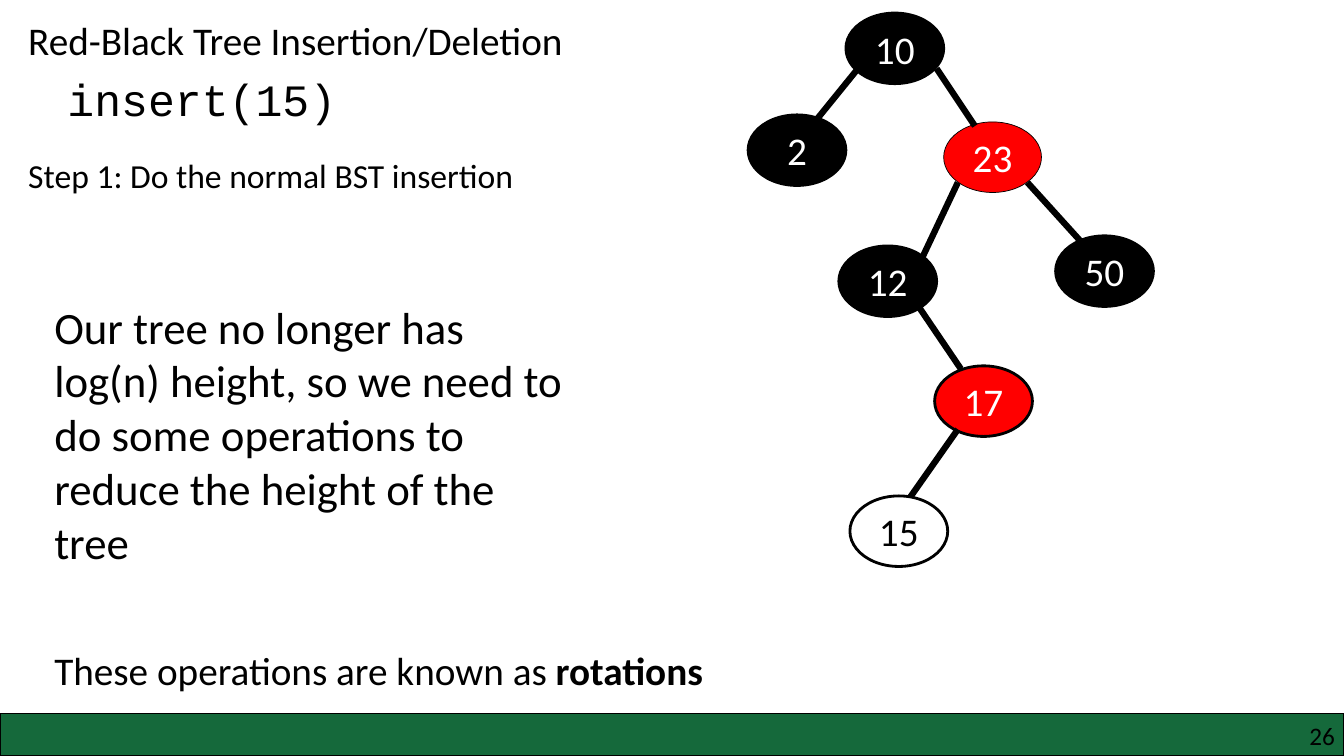
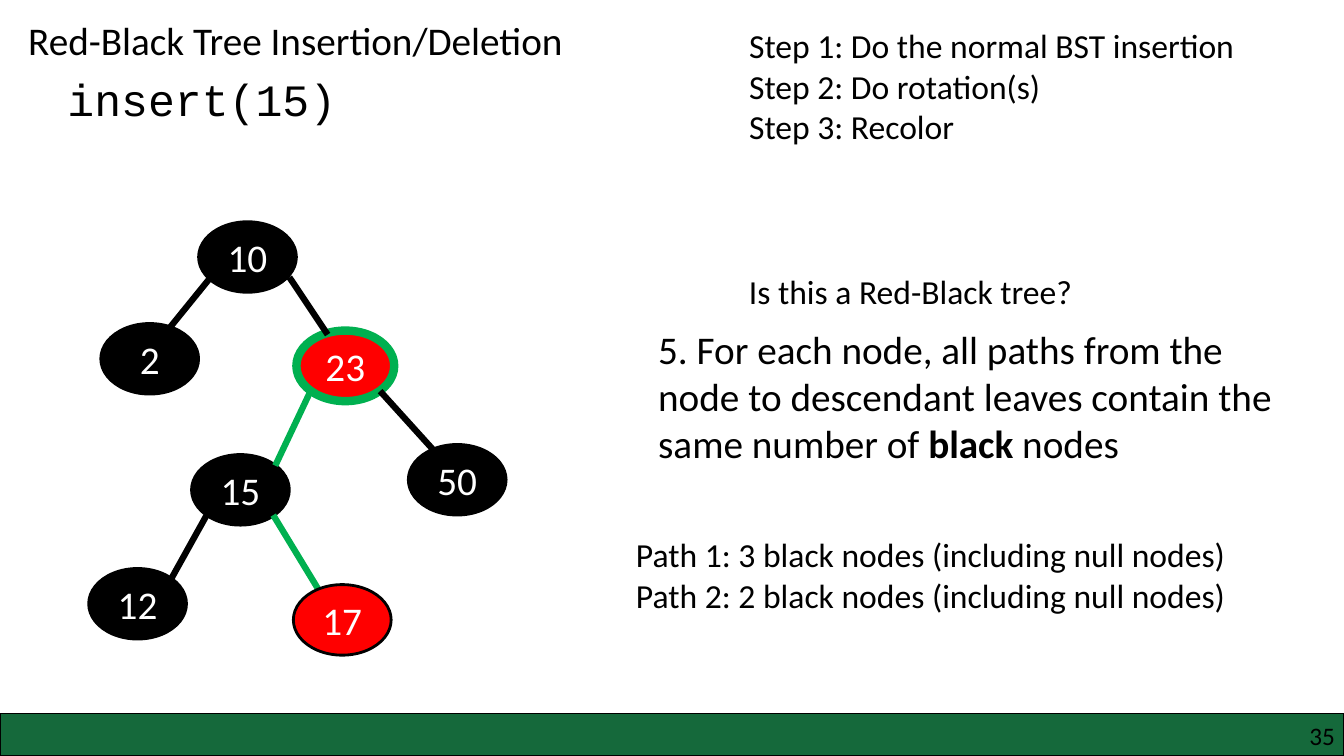
from lxml import etree
from pptx import Presentation
from pptx.dml.color import RGBColor
from pptx.enum.shapes import MSO_CONNECTOR, MSO_SHAPE
from pptx.enum.text import MSO_ANCHOR, MSO_AUTO_SIZE, PP_ALIGN
from pptx.oxml.ns import qn
from pptx.util import Inches, Pt

STRAIGHT = MSO_CONNECTOR.STRAIGHT
OVAL, RECTANGLE = MSO_SHAPE.OVAL, MSO_SHAPE.RECTANGLE
TOP, MIDDLE = MSO_ANCHOR.TOP, MSO_ANCHOR.MIDDLE
LEFT, CENTER, RIGHT = PP_ALIGN.LEFT, PP_ALIGN.CENTER, PP_ALIGN.RIGHT
GROW, FIXED = MSO_AUTO_SIZE.SHAPE_TO_FIT_TEXT, MSO_AUTO_SIZE.NONE

BLACK = RGBColor(0x00, 0x00, 0x00)
WHITE = RGBColor(0xFF, 0xFF, 0xFF)
RED = RGBColor(0xFF, 0x00, 0x00)
GREEN = RGBColor(0x00, 0xB0, 0x50)
BAND_GREEN = RGBColor(0x15, 0x69, 0x3B)

NODE_WIDTH, NODE_HEIGHT = 0.97, 0.7
TITLE = "Red-Black Tree Insertion/Deletion"
STEP_1 = "Step 1: Do the normal BST insertion"


def write_text(box, text, *, size, font="Calibri", color=BLACK, align=LEFT,
               anchor=TOP, wrap=False, grow=True):
    frame = box.text_frame
    frame.word_wrap = wrap
    frame.auto_size = GROW if grow else FIXED
    frame.vertical_anchor = anchor
    for index, line in enumerate(text.split("\n")):
        para = frame.add_paragraph() if index else frame.paragraphs[0]
        para.alignment = align
        para.space_before = Pt(0)
        for part, words in enumerate(line.split("**")):
            span = para.add_run()
            span.text = words
            span.font.name = font
            span.font.size = Pt(size)
            span.font.bold = part % 2 == 1
            span.font.color.rgb = color
    return frame


def add_node(page, label, left, top, fill, outline=BLACK, weight=2):
    node = page.shapes.add_shape(OVAL, Inches(left), Inches(top),
                                 Inches(NODE_WIDTH), Inches(NODE_HEIGHT))
    node.shadow.inherit = False
    node.fill.solid()
    node.fill.fore_color.rgb = fill
    node.line.color.rgb = outline
    node.line.width = Pt(weight)
    write_text(node, label, size=28, color=BLACK if fill == WHITE else WHITE,
               align=CENTER, anchor=MIDDLE, wrap=True, grow=False)


SHARED_NODES = [
    ("10", 8.39, 0.13, BLACK),
    ("2", 7.42, 1.14, BLACK),
    ("50", 10.47, 2.34, BLACK),
]
SHARED_EDGES = [
    (8.51, 0.68, 8.04, 1.26, BLACK),
    (9.29, 0.68, 9.67, 1.25, BLACK),
    (10.19, 1.81, 10.76, 2.44, BLACK),
]

PAGES = [
    {
        "number": "26",
        "offset": (0, 0),
        "steps": (STEP_1, 0.18, 1.49, 5.06, 0.5),
        "nodes": [
            ("23", 9.36, 1.21, RED, BLACK, 0.5),
            ("12", 8.32, 2.44, BLACK),
            ("17", 9.27, 3.63, RED),
        ],
        "edges": [
            (9.5, 1.81, 9.15, 2.55, BLACK),
            (9.11, 3.04, 9.53, 3.66, BLACK),
            (9.5, 4.26, 8.98, 5, BLACK),
        ],
        "front_nodes": [("15", 8.43, 4.92, WHITE)],
        "texts": [
            ("Our tree no longer has log(n) height, so we need to do some "
             "operations to reduce the height of the tree",
             0.44, 2.92, 5.3, 2.79, 32, True),
            ("These operations are known as **rotations**",
             0.44, 6.36, 6.71, 0.57, 28, False),
        ],
    },
    {
        "number": "35",
        "offset": (-6.42, 2.07),
        "steps": (STEP_1 + "\nStep 2: Do rotation(s)\nStep 3: Recolor",
                  7.33, 0.2, 5.06, 1.31),
        "nodes": [
            ("23", 9.36, 1.21, RED, GREEN, 6),
            ("15", 8.32, 2.44, BLACK),
            ("12", 7.3, 3.57, BLACK),
        ],
        "edges": [
            (9.5, 1.81, 9.15, 2.55, GREEN),
            (8.47, 3.04, 8.12, 3.67, BLACK),
            (9.13, 3.04, 9.61, 3.83, GREEN),
        ],
        "front_nodes": [("17", 9.33, 3.73, RED)],
        "texts": [
            ("Is this a Red-Black tree?", 7.33, 2.64, 3.44, 0.5, 24, False),
            ("5. For each node, all paths from the node to descendant leaves "
             "contain the same number of **black** nodes",
             6.43, 3.18, 6.67, 1.51, 28, True),
            ("Path 1: 3 black nodes (including null nodes)",
             6.21, 5.25, 6.67, 0.5, 24, True),
            ("Path 2: 2 black nodes (including null nodes)",
             6.21, 5.65, 6.67, 0.5, 24, True),
        ],
    },
]

deck = Presentation()
deck.slide_width, deck.slide_height = Inches(13.33), Inches(7.5)

for content in PAGES:
    page = deck.slides.add_slide(deck.slide_layouts[1])
    title, steps = page.placeholders

    band = page.shapes.add_shape(RECTANGLE, 0, Inches(7.08), Inches(13.33), Inches(0.42))
    band.shadow.inherit = False
    band.fill.solid()
    band.fill.fore_color.rgb = BAND_GREEN
    band.line.color.rgb = BLACK
    band.line.width = Pt(1)

    number = page.shapes.add_textbox(Inches(10.17), Inches(7.15), Inches(3.07), Inches(0.3))
    frame = write_text(number, content["number"], size=18, align=RIGHT, wrap=True)
    frame.margin_left = frame.margin_right = frame.margin_top = frame.margin_bottom = 0

    title.left, title.top, title.width, title.height = map(Inches, (0.18, 0.11, 5.56, 0.57))
    write_text(title, TITLE, size=28)

    call = page.shapes.add_textbox(Inches(0.57), Inches(0.66), Inches(2.9), Inches(0.64))
    write_text(call, "insert(15)", size=32, font="Courier New")

    text, *place = content["steps"]
    steps.left, steps.top, steps.width, steps.height = map(Inches, place)
    for para in write_text(steps, text, size=24).paragraphs:
        properties = para._p.get_or_add_pPr()
        properties.set("marL", "0")
        properties.set("indent", "0")
        etree.SubElement(properties, qn("a:buNone"))

    shift_x, shift_y = content["offset"]
    for label, left, top, *style in SHARED_NODES + content["nodes"]:
        add_node(page, label, left + shift_x, top + shift_y, *style)

    for start_x, start_y, end_x, end_y, color in SHARED_EDGES + content["edges"]:
        edge = page.shapes.add_connector(
            STRAIGHT, Inches(start_x + shift_x), Inches(start_y + shift_y),
            Inches(end_x + shift_x), Inches(end_y + shift_y))
        edge.line.color.rgb = color
        edge.line.width = Pt(4.5)
        etree.SubElement(edge._element.spPr, qn("a:effectLst"))

    for label, left, top, *style in content["front_nodes"]:
        add_node(page, label, left + shift_x, top + shift_y, *style)

    for text, left, top, width, height, size, wrap in content["texts"]:
        box = page.shapes.add_textbox(Inches(left), Inches(top), Inches(width), Inches(height))
        write_text(box, text, size=size, wrap=wrap)

deck.save("out.pptx")
